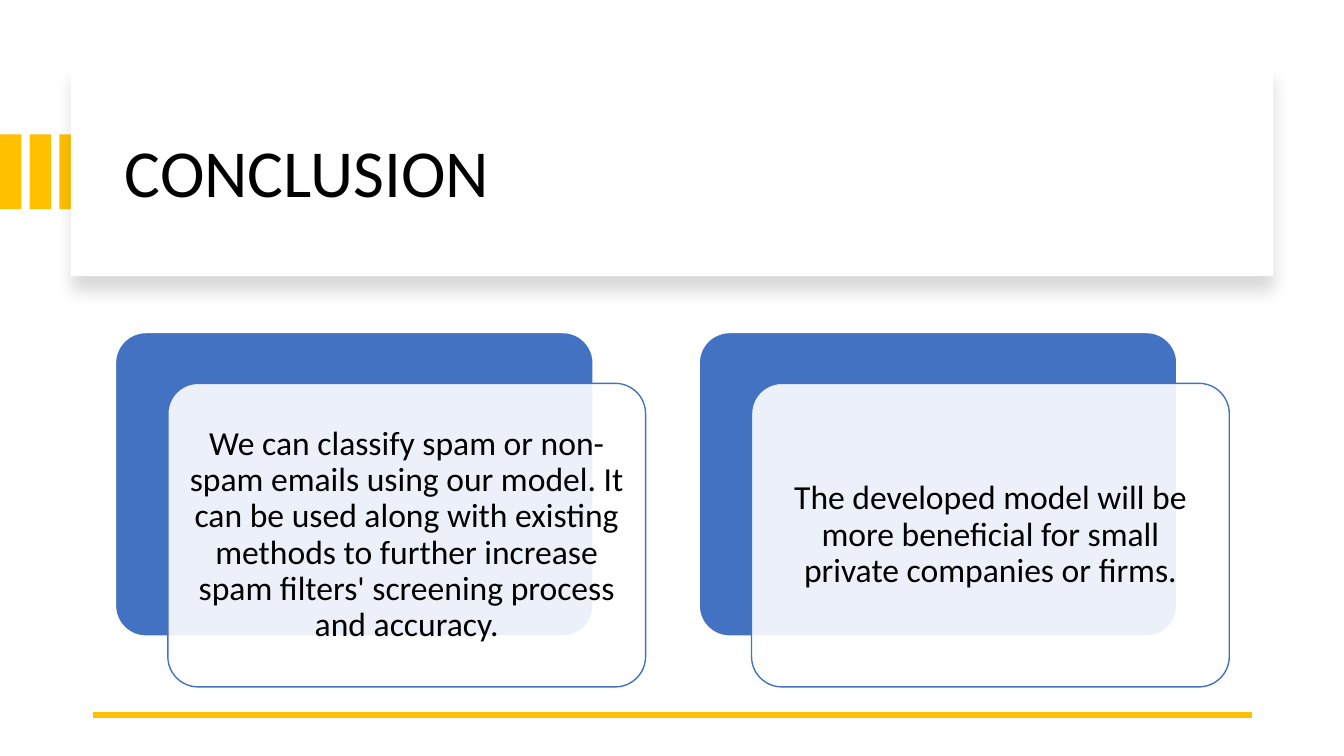
import pptx
import pptx.dml.color
import pptx.enum.shapes
import pptx.enum.text
import pptx.oxml
import pptx.oxml.ns
import pptx.util

Cm = pptx.util.Cm
Pt = pptx.util.Pt
RGBColor = pptx.dml.color.RGBColor
SHAPES = pptx.enum.shapes.MSO_SHAPE
ALIGN = pptx.enum.text.PP_ALIGN

GOLD = RGBColor(0xFF, 0xC0, 0x00)
BLUE = RGBColor(0x43, 0x72, 0xC3)
WHITE = RGBColor(0xFF, 0xFF, 0xFF)
BLACK = RGBColor(0x00, 0x00, 0x00)

CARD_TEXTS = [
    "We can classify spam or non-spam emails using our model. It can be used "
    "along with existing methods to further increase spam filters' screening "
    "process and accuracy.",
    "The developed model will be more beneficial for small private companies or firms.",
]


def add_xml(parent, xml):
    """Append a DrawingML fragment to an element."""
    namespace = pptx.oxml.ns.nsdecls("a")
    parent.append(pptx.oxml.parse_xml(xml.replace(" ", f" {namespace} ", 1)))


class SlideBuilder:
    font_name = "Calibri"
    line_spacing = 0.9

    def __init__(self, slide):
        self.slide = slide

    def box(self, kind, left, top, width, height, fill, outline=None, opacity=None):
        shape = self.slide.shapes.add_shape(
            kind, Cm(left), Cm(top), Cm(width), Cm(height))
        shape.shadow.inherit = False
        shape.fill.solid()
        shape.fill.fore_color.rgb = fill
        if outline is None:
            shape.line.fill.background()
        else:
            shape.line.color.rgb = outline
            shape.line.width = Pt(1)
        if opacity is not None:
            color = shape.fill._xPr.find(".//" + pptx.oxml.ns.qn("a:srgbClr"))
            add_xml(color, f'<a:alpha val="{opacity * 1000}"/>')
        return shape

    def rounded(self, *args, **kwargs):
        shape = self.box(SHAPES.ROUNDED_RECTANGLE, *args, **kwargs)
        shape.adjustments[0] = 0.1
        return shape

    def drop_shadow(self, shape):
        effects = shape._element.spPr.find(pptx.oxml.ns.qn("a:effectLst"))
        add_xml(effects, f'<a:outerShdw blurRad="{Pt(11)}" dist="{Pt(10)}" '
                         'dir="5400000" algn="t" rotWithShape="0">'
                         '<a:srgbClr val="000000"><a:alpha val="15000"/></a:srgbClr>'
                         '</a:outerShdw>')

    def text(self, shape, content, size, alignment, side_inset, end_inset):
        frame = shape.text_frame
        frame_format = {
            "word_wrap": True,
            "vertical_anchor": pptx.enum.text.MSO_ANCHOR.MIDDLE,
            "margin_left": Cm(side_inset), "margin_right": Cm(side_inset),
            "margin_top": Cm(end_inset), "margin_bottom": Cm(end_inset),
        }
        for name, value in frame_format.items():
            setattr(frame, name, value)
        paragraph = frame.paragraphs[0]
        paragraph.text = content
        paragraph.alignment = alignment
        paragraph.line_spacing = self.line_spacing
        font = paragraph.runs[0].font
        for name, value in {"name": self.font_name, "size": Pt(size)}.items():
            setattr(font, name, value)
        font.color.rgb = BLACK

    def title(self, content, left, top, width, height):
        shape = self.slide.shapes.add_textbox(Cm(left), Cm(top), Cm(width), Cm(height))
        self.text(shape, content, 48, ALIGN.LEFT, 0.25, 0.13)

    def rule(self, left, right, y):
        line = self.slide.shapes.add_connector(
            pptx.enum.shapes.MSO_CONNECTOR.STRAIGHT, Cm(left), Cm(y), Cm(right), Cm(y))
        line.line.color.rgb = GOLD
        line.line.width = Pt(4.5)
        add_xml(line._element.spPr, "<a:effectLst />")

    def card(self, content, left, top, width=12.04, height=7.65):
        self.rounded(left, top, width, height, BLUE, outline=WHITE)
        front = self.rounded(left + 1.32, top + 1.28, width, height, WHITE,
                             outline=BLUE, opacity=90)
        self.text(front, content, 24, ALIGN.CENTER, 0.25, 0.25)


def main():
    presentation = pptx.Presentation()
    presentation.slide_width = Cm(33.87)
    presentation.slide_height = Cm(19.05)
    slide = presentation.slides.add_slide(presentation.slide_layouts[6])
    builder = SlideBuilder(slide)

    # Gold stripes at the left edge
    for index in range(3):
        builder.box(SHAPES.RECTANGLE, index * 0.75, 3.39, 0.54, 1.88, GOLD)

    # Title panel
    panel = builder.box(SHAPES.RECTANGLE, 1.79, 1.7, 30.3, 5.26, WHITE)
    builder.drop_shadow(panel)
    builder.title("CONCLUSION", 2.9, 2.26, 28.27, 4.32)

    # Bottom rule
    builder.rule(2.34, 31.55, 18.01)

    # Layered cards
    for index, content in enumerate(CARD_TEXTS):
        builder.card(content, 2.91 + index * 14.71, 8.38)

    presentation.save("out.pptx")


if __name__ == "__main__":
    main()
